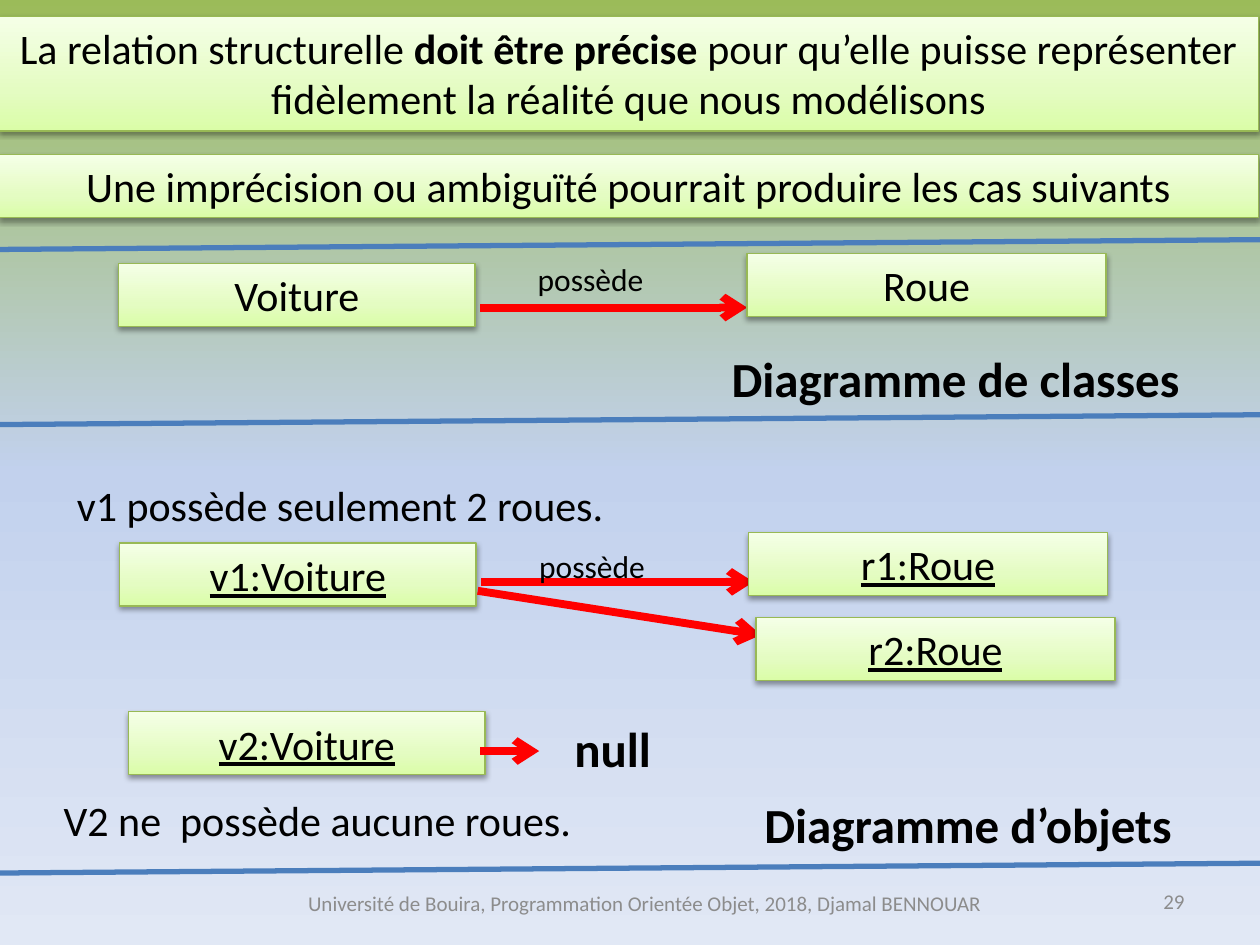
"""Builds a slide on imprecise structural relations between classes and objects."""
from dataclasses import dataclass

from lxml import etree
from pptx import Presentation
from pptx.dml.color import RGBColor
from pptx.enum.shapes import MSO_CONNECTOR, MSO_SHAPE
from pptx.enum.text import MSO_ANCHOR, MSO_AUTO_SIZE, PP_ALIGN
from pptx.oxml.ns import qn
from pptx.util import Cm, Pt

RECTANGLE, STRAIGHT = MSO_SHAPE.RECTANGLE, MSO_CONNECTOR.STRAIGHT
TOP, MIDDLE = MSO_ANCHOR.TOP, MSO_ANCHOR.MIDDLE
GROW, FIXED = MSO_AUTO_SIZE.SHAPE_TO_FIT_TEXT, MSO_AUTO_SIZE.NONE
LEFT, CENTER, RIGHT = PP_ALIGN.LEFT, PP_ALIGN.CENTER, PP_ALIGN.RIGHT

FONT = "Calibri"
BLACK, GREY, RED, BLUE, GREEN = "000000", "8C8C8C", "FF0000", "4B7EBC", "98B955"
SKY_STOPS = ((0, "9BBB59"), (50, "C2D1ED"), (100, "E1E8F5"))
BOX_STOPS = ((0, "DAFDA7"), (35, "E4FCC2"), (100, "F5FFE7"))
SLIDE_WIDTH, SLIDE_HEIGHT = 25.4, 19.05
ROW_HEIGHT, TITLE_HEIGHT, SMALL_HEIGHT = 1.27, 1.45, 1.02
CAR_WIDTH, WHEEL_WIDTH = 7.19, 7.24


@dataclass(frozen=True)
class Span:
    text: str
    bold: bool = False
    underline: bool = False


@dataclass(frozen=True)
class Label:
    left: float
    top: float
    width: float
    height: float
    spans: tuple[Span, ...]
    size: int = 24
    align: PP_ALIGN = LEFT
    color: str = BLACK
    anchor: MSO_ANCHOR = TOP
    auto_size: MSO_AUTO_SIZE = GROW
    framed: bool = False


@dataclass(frozen=True)
class Stroke:
    start: tuple[float, float]
    end: tuple[float, float]
    color: str = RED
    width: float = 4.5
    arrow: bool = True


def rgb(value: str) -> RGBColor:
    return RGBColor.from_string(value)


def framed(left: float, top: float, width: float, *spans: Span, height: float = ROW_HEIGHT) -> Label:
    return Label(left, top, width, height, spans, align=CENTER, framed=True)


def car(left: float, top: float, name: str, is_object: bool = True) -> Label:
    return framed(left, top, CAR_WIDTH, Span(name, underline=is_object))


def wheel(left: float, top: float, name: str, is_object: bool = True) -> Label:
    return framed(left, top, WHEEL_WIDTH, Span(name, underline=is_object))


def role(left: float, top: float) -> Label:
    return Label(left, top, 3.4, SMALL_HEIGHT, (Span("possède"),), size=18)


def heading(left: float, top: float, width: float, text: str) -> Label:
    return Label(left, top, width, TITLE_HEIGHT, (Span(text, bold=True),), size=28)


def footer(left: float, top: float, width: float, text: str, align: PP_ALIGN) -> Label:
    return Label(left, top, width, SMALL_HEIGHT, (Span(text),), 12, align, GREY, MIDDLE, FIXED)


def divider(left: float, top: float) -> Stroke:
    return Stroke((left, top), (left + 25.7, top - 0.2), BLUE, 3, False)


def set_gradient(fill, owner, stops, angle: int) -> None:
    fill.gradient()
    fill.gradient_angle = angle
    stop_list = next(owner.iter(qn("a:gsLst")))
    for old_stop in list(stop_list):
        stop_list.remove(old_stop)
    for position, color in stops:
        stop = etree.SubElement(stop_list, qn("a:gs"), pos=str(position * 1000))
        etree.SubElement(stop, qn("a:srgbClr"), val=color)


def add_frame(shapes, label: Label):
    box = shapes.add_shape(RECTANGLE, Cm(label.left), Cm(label.top), Cm(label.width), Cm(label.height))
    set_gradient(box.fill, box.element, BOX_STOPS, 90)
    box.line.color.rgb = rgb(GREEN)
    box.line.width = Pt(0.75)
    box.shadow.inherit = False
    effects = next(box.element.iter(qn("a:effectLst")))
    shadow = etree.SubElement(effects, qn("a:outerShdw"), blurRad=str(Pt(3.1)), dist=str(Pt(1.6)),
                              dir="5400000", rotWithShape="0")
    color = etree.SubElement(shadow, qn("a:srgbClr"), val=BLACK)
    etree.SubElement(color, qn("a:alpha"), val="38000")
    return box


def add_label(shapes, label: Label) -> None:
    if label.framed:
        box = add_frame(shapes, label)
    else:
        box = shapes.add_textbox(Cm(label.left), Cm(label.top), Cm(label.width), Cm(label.height))
    frame = box.text_frame
    frame.word_wrap = True
    frame.auto_size = label.auto_size
    frame.vertical_anchor = label.anchor
    para = frame.paragraphs[0]
    para.alignment = label.align
    for span in label.spans:
        run = para.add_run()
        run.text = span.text
        run.font.name = FONT
        run.font.size = Pt(label.size)
        run.font.bold = span.bold
        run.font.underline = span.underline
        run.font.color.rgb = rgb(label.color)


def add_stroke(shapes, stroke: Stroke) -> None:
    points = [Cm(value) for value in (*stroke.start, *stroke.end)]
    connector = shapes.add_connector(STRAIGHT, *points)
    connector.line.color.rgb = rgb(stroke.color)
    connector.line.width = Pt(stroke.width)
    if stroke.arrow:
        etree.SubElement(next(connector.element.iter(qn("a:ln"))), qn("a:tailEnd"), type="arrow")
    etree.SubElement(connector.element.spPr, qn("a:effectLst"))


def draw(shapes, items) -> None:
    for item in items:
        if isinstance(item, list):
            draw(shapes.add_group_shape().shapes, item)
        elif isinstance(item, Stroke):
            add_stroke(shapes, item)
        else:
            add_label(shapes, item)


CONTENT = [
    footer(4.9, 17.7, 16.2, "Université de Bouira, Programmation Orientée Objet, 2018, Djamal BENNOUAR", CENTER),
    footer(18.21, 17.65, 5.92, "29", RIGHT),
    framed(-0.03, 0.33, SLIDE_WIDTH,
           Span("La relation structurelle "),
           Span("doit être précise ", bold=True),
           Span("pour qu’elle puisse représenter fidèlement la réalité que nous modélisons"),
           height=2.31),
    [
        car(2.39, 5.31, "Voiture", is_object=False),
        Stroke((9.68, 6.2), (15.06, 6.2)),
        wheel(15.06, 5.11, "Roue", is_object=False),
        role(10.59, 5.11),
    ],
    [
        car(2.41, 10.95, "v1:Voiture"),
        Stroke((9.7, 11.73), (15.19, 11.73)),
        wheel(15.09, 10.74, "r1:Roue"),
        role(10.62, 10.9),
        Stroke((9.63, 11.91), (15.34, 12.8)),
        wheel(15.24, 12.45, "r2:Roue"),
    ],
    divider(-0.2, 8.56),
    [
        car(2.59, 14.35, "v2:Voiture"),
        Stroke((9.68, 15.14), (10.87, 15.14)),
    ],
    Label(1.3, 9.55, 11.18, ROW_HEIGHT, (Span("v1 possède seulement 2 roues."),)),
    Label(0.76, 15.9, 11.28, ROW_HEIGHT, (Span("V2 ne  possède aucune roues."),), align=CENTER),
    framed(-0.03, 3.12, SLIDE_WIDTH,
           Span("Une imprécision ou ambiguïté pourrait produire les cas suivants")),
    divider(-0.2, 5.03),
    heading(14.5, 6.91, 10.82, "Diagramme de classes"),
    heading(15.16, 15.9, 10.82, "Diagramme d’objets"),
    divider(-0.13, 17.6),
    heading(11.33, 14.35, 2.97, "null"),
]


def main() -> None:
    deck = Presentation()
    deck.slide_width, deck.slide_height = Cm(SLIDE_WIDTH), Cm(SLIDE_HEIGHT)
    page = deck.slides.add_slide(deck.slide_layouts[6])
    set_gradient(page.background.fill, page.element, SKY_STOPS, 270)
    draw(page.shapes, CONTENT)
    deck.save("out.pptx")


if __name__ == "__main__":
    main()
